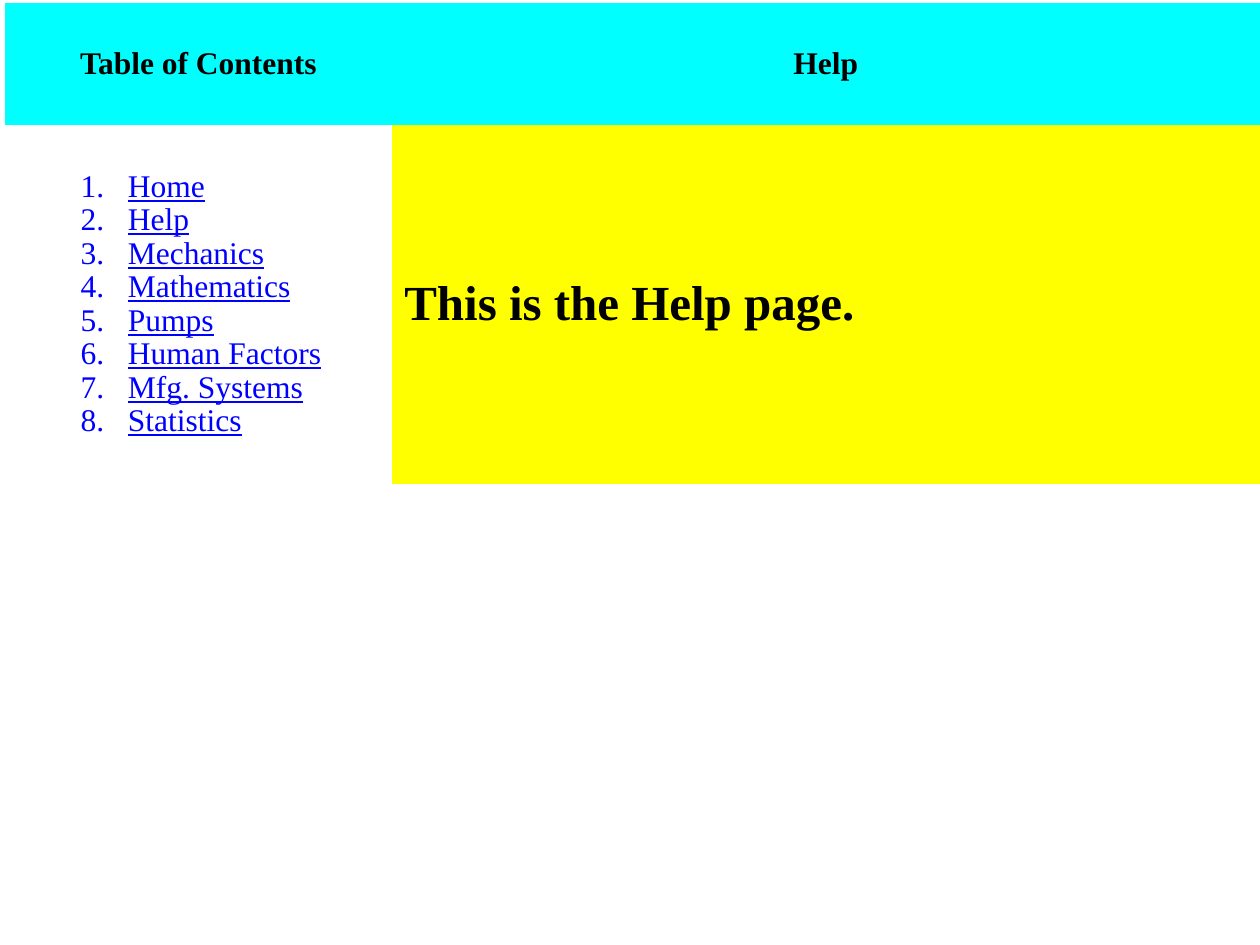
import pptx
import pptx.dml.color
import pptx.enum.text
import pptx.oxml
import pptx.oxml.ns
import pptx.util

Pt = pptx.util.Pt
CENTER = pptx.enum.text.PP_ALIGN.CENTER
LEFT = pptx.enum.text.PP_ALIGN.LEFT
NAMESPACE = pptx.oxml.ns.nsdecls("a")


def color(value):
    return pptx.dml.color.RGBColor.from_string(value)


def write(para, text, align, ink, font):
    para.alignment = align
    span = para.add_run()
    span.text = text
    span.font.color.rgb = color(ink)
    for name, value in font.items():
        setattr(span.font, name, value)


deck = pptx.Presentation()
deck.slide_width, deck.slide_height = Pt(720), Pt(540)
page = deck.slides.add_slide(deck.slide_layouts[6])

column_widths = [221, 496]
row_heights = [70, 205]
frame = page.shapes.add_table(
    2, 2, Pt(2.88), Pt(1.44), Pt(sum(column_widths)), Pt(sum(row_heights))
)
table = frame.table
table.first_row = table.horz_banding = False
no_style_no_grid = "{2D5ABB26-0587-4C30-8999-92F81FD0307C}"
frame.element.find(".//" + pptx.oxml.ns.qn("a:tableStyleId")).text = no_style_no_grid

for column, width in zip(table.columns, column_widths):
    column.width = Pt(width)
for row, height in zip(table.rows, row_heights):
    row.height = Pt(height)

fills = ["00FFFF", "00FFFF", None, "FFFF00"]
for cell, fill in zip(table.iter_cells(), fills):
    cell.vertical_anchor = pptx.enum.text.MSO_ANCHOR.MIDDLE
    if fill:
        cell.fill.solid()
        cell.fill.fore_color.rgb = color(fill)
    else:
        cell.fill.background()

heading_font = {"name": "Times New Roman", "size": Pt(18), "bold": True}
link_font = {**heading_font, "bold": False, "underline": True}
message_font = {**heading_font, "size": Pt(28)}

for index, heading in enumerate(["Table of Contents", "Help"]):
    para = table.cell(0, index).text_frame.paragraphs[0]
    write(para, heading, CENTER, "000000", heading_font)

contents = [
    "Home", "Help", "Mechanics", "Mathematics",
    "Pumps", "Human Factors", "Mfg. Systems", "Statistics",
]
contents_text = table.cell(1, 0).text_frame
for index, entry in enumerate(contents):
    para = contents_text.add_paragraph() if index else contents_text.paragraphs[0]
    write(para, entry, LEFT, "0000FF", link_font)
    para.level = 1
    para.line_spacing = 0.96
    properties = para.runs[0].font.fill and para.line_spacing and para._p.get_or_add_pPr()
    properties.set("marL", str(Pt(63)))
    properties.set("indent", str(Pt(-27)))
    properties.append(
        pptx.oxml.parse_xml(f'<a:buFont {NAMESPACE} typeface="Times New Roman"/>')
    )
    properties.append(
        pptx.oxml.parse_xml(f'<a:buAutoNum {NAMESPACE} type="arabicPeriod"/>')
    )

message = table.cell(1, 1).text_frame.paragraphs[0]
write(message, "This is the Help page.", LEFT, "000000", message_font)

deck.save("out.pptx")
